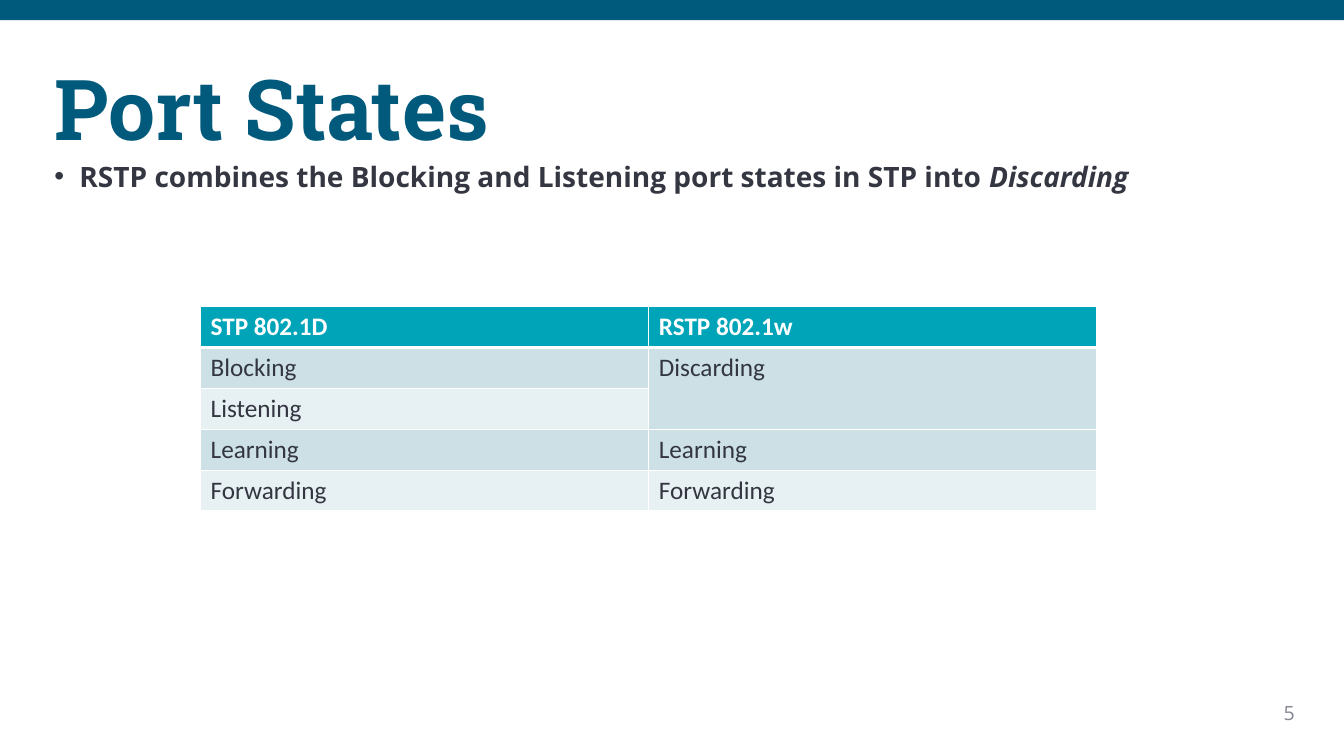
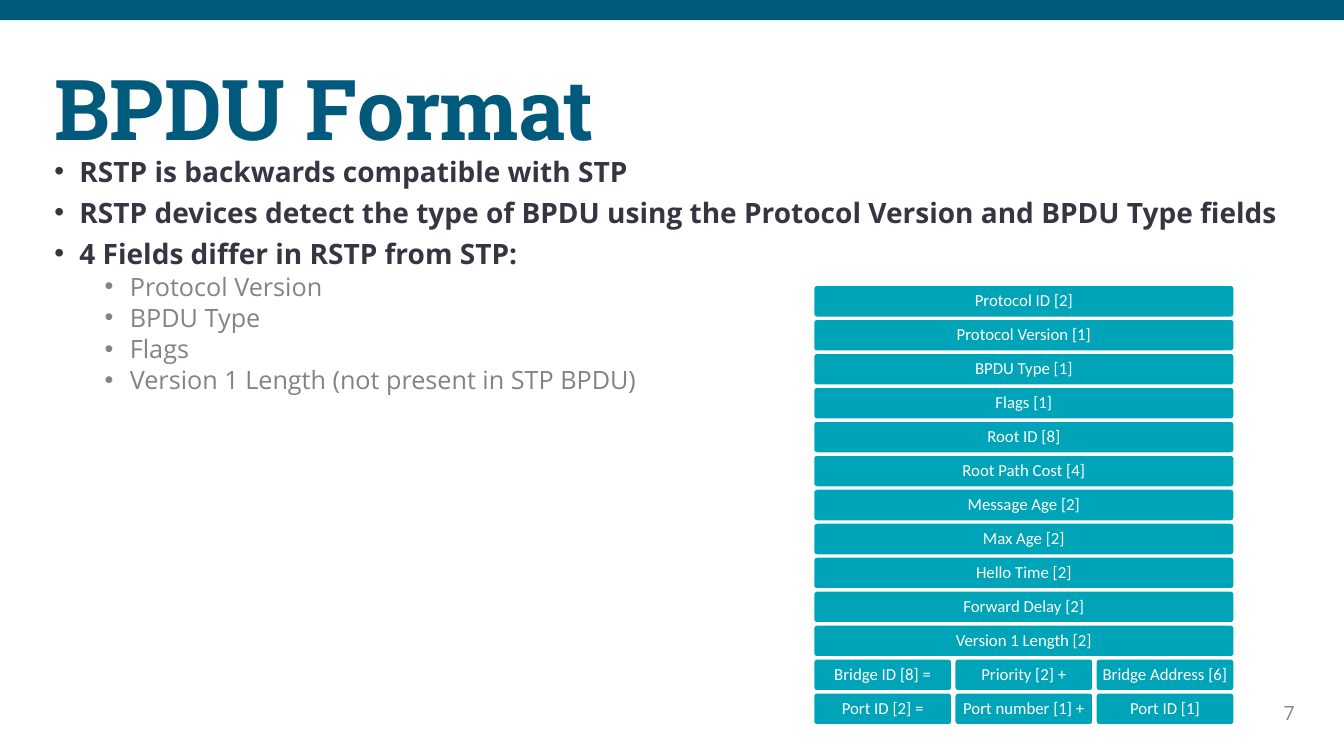
import lxml.etree
import pptx
import pptx.dml.color
import pptx.enum.shapes
import pptx.enum.text
import pptx.oxml
import pptx.oxml.ns
import pptx.util

Inches = pptx.util.Inches
Pt = pptx.util.Pt
Align = pptx.enum.text.PP_ALIGN
Anchor = pptx.enum.text.MSO_ANCHOR
Preset = pptx.enum.shapes.MSO_SHAPE
qn = pptx.oxml.ns.qn

BAND = "005A7C"
TITLE = "015A7C"
BODY = "343741"
SUBITEM = "838383"
NUMBER = "858891"
TEAL = "00A4B8"
CELL_TEXT = "333641"
ROW_FILLS = ("CCE0E6", "E7F0F3")
WHITE = "FFFFFF"

TITLE_FONT = "Roboto Slab"
BODY_FONT = "Open Sans"
DIAGRAM_FONT = "Calibri"

LEVELS = (
    dict(size=20, color=BODY, bold=True, indent=0.25, space_before=10),
    dict(size=18, color=SUBITEM, bold=False, indent=0.75, space_before=5),
)


def color_of(value):
    return pptx.dml.color.RGBColor.from_string(value)


def write_text(paragraph, text, font=BODY_FONT, size=18, color=BODY, bold=False,
               italic=False, align=Align.LEFT, line_spacing=None):
    paragraph.alignment = align
    if line_spacing:
        paragraph.line_spacing = line_spacing
    run = paragraph.add_run()
    run.text = text
    run.font.name = font
    run.font.size = Pt(size)
    run.font.bold = bold
    run.font.italic = italic
    run.font.color.rgb = color_of(color)


def add_box(slide, box, anchor=Anchor.TOP):
    frame = slide.shapes.add_textbox(*map(Inches, box)).text_frame
    frame.word_wrap = True
    frame.vertical_anchor = anchor
    return frame


def add_block(slide, preset, box, fill, line=None):
    shape = slide.shapes.add_shape(preset, *map(Inches, box))
    shape.shadow.inherit = False
    shape.fill.solid()
    shape.fill.fore_color.rgb = color_of(fill)
    if line:
        shape.line.color.rgb = color_of(line)
        shape.line.width = Pt(1)
    else:
        shape.line.fill.background()
    return shape


def add_bullet(paragraph, indent):
    properties = paragraph._p.get_or_add_pPr()
    properties.set("marL", str(Inches(indent)))
    properties.set("indent", str(Inches(-0.25)))
    lxml.etree.SubElement(properties, qn("a:buFont")).set("typeface", "Arial")
    lxml.etree.SubElement(properties, qn("a:buChar")).set("char", "•")


def add_base(presentation, title, number):
    slide = presentation.slides.add_slide(presentation.slide_layouts[6])
    add_block(slide, Preset.RECTANGLE, (0, 0, 13.33, 0.2), BAND)
    number_frame = add_box(slide, (12.3, 6.9, 0.64, 0.34))
    write_text(number_frame.paragraphs[0], number, size=14, color=NUMBER, align=Align.RIGHT)
    title_frame = add_box(slide, (0.44, 0.4, 12.73, 1.45), Anchor.MIDDLE)
    write_text(title_frame.paragraphs[0], title, font=TITLE_FONT, size=60, color=TITLE,
               bold=True, line_spacing=0.9)
    return slide


def add_bullets(slide, box, items):
    frame = add_box(slide, box)
    for index, (level, text, emphasis) in enumerate(items):
        paragraph = frame.paragraphs[0] if index == 0 else frame.add_paragraph()
        style = dict(LEVELS[level], line_spacing=0.8)
        paragraph.level = level
        add_bullet(paragraph, style.pop("indent"))
        space_before = style.pop("space_before")
        if index:
            paragraph.space_before = Pt(space_before)
        write_text(paragraph, text, **style)
        if emphasis:
            write_text(paragraph, emphasis, italic=True, **style)


def set_borders(cell, bottom):
    properties = cell._tc.get_or_add_tcPr()
    for side, width in (("L", 1), ("R", 1), ("T", 1), ("B", bottom)):
        line = lxml.etree.SubElement(properties, qn("a:ln" + side))
        line.set("w", str(Pt(width)))
        fill = lxml.etree.SubElement(line, qn("a:solidFill"))
        lxml.etree.SubElement(fill, qn("a:srgbClr")).set("val", WHITE)


def add_state_table(slide, box, rows):
    left, top, width, height = map(Inches, box)
    table = slide.shapes.add_table(len(rows), len(rows[0]), left, top, width, height).table
    for row_index, row in enumerate(rows):
        header = row_index == 0
        for column_index, text in enumerate(row):
            cell = table.cell(row_index, column_index)
            set_borders(cell, 3 if header else 1)
            cell.fill.solid()
            fill = TEAL if header else ROW_FILLS[(row_index - 1) % 2]
            cell.fill.fore_color.rgb = color_of(fill)
            if text:
                write_text(cell.text_frame.paragraphs[0], text, font=DIAGRAM_FONT,
                           color=WHITE if header else CELL_TEXT, bold=header)
    table.cell(1, 1).merge(table.cell(2, 1))


def add_field_stack(slide, box, rows, row_gap=0.02, column_gap=0.03):
    left, top, width, height = box
    field_height = (height - row_gap * (len(rows) - 1)) / len(rows)
    for row_index, fields in enumerate(rows):
        field_width = (width - column_gap * (len(fields) - 1)) / len(fields)
        field_top = top + row_index * (field_height + row_gap)
        for column_index, text in enumerate(fields):
            field_left = left + column_index * (field_width + column_gap)
            shape = add_block(slide, Preset.ROUNDED_RECTANGLE,
                              (field_left, field_top, field_width, field_height), TEAL, WHITE)
            shape.adjustments[0] = 0.1
            frame = shape.text_frame
            frame.word_wrap = True
            frame.vertical_anchor = Anchor.MIDDLE
            frame.margin_left = frame.margin_right = Inches(0.05)
            frame.margin_top = frame.margin_bottom = Inches(0.05)
            write_text(frame.paragraphs[0], text, font=DIAGRAM_FONT, size=12, color=WHITE,
                       align=Align.CENTER, line_spacing=0.9)


def build_port_states(presentation):
    slide = add_base(presentation, "Port States", "5")
    add_bullets(slide, (0.44, 1.6, 12.36, 2.07), [
        (0, "RSTP combines the Blocking and Listening port states in STP into ", "Discarding"),
    ])
    add_state_table(slide, (1.99, 3.04, 8.89, 2.03), [
        ("STP 802.1D", "RSTP 802.1w"),
        ("Blocking", "Discarding"),
        ("Listening", ""),
        ("Learning", "Learning"),
        ("Forwarding", "Forwarding"),
    ])


def build_bpdu_format(presentation):
    slide = add_base(presentation, "BPDU Format", "7")
    single_fields = (
        "Protocol ID [2]", "Protocol Version [1]", "BPDU Type [1]", "Flags [1]",
        "Root ID [8]", "Root Path Cost [4]", "Message Age [2]", "Max Age [2]",
        "Hello Time [2]", "Forward Delay [2]", "Version 1 Length [2]",
    )
    add_field_stack(slide, (8.07, 2.83, 4.17, 4.36), [(field,) for field in single_fields] + [
        ("Bridge ID [8] =", "Priority [2] +", "Bridge Address [6]"),
        ("Port ID [2] =", "Port number [1] +", "Port ID [1]"),
    ])
    add_bullets(slide, (0.44, 1.55, 12.6, 3.06), [
        (0, "RSTP is backwards compatible with STP", ""),
        (0, "RSTP devices detect the type of BPDU using the Protocol Version and BPDU Type fields", ""),
        (0, "4 Fields differ in RSTP from STP:", ""),
        (1, "Protocol Version", ""),
        (1, "BPDU Type", ""),
        (1, "Flags", ""),
        (1, "Version 1 Length (not present in STP BPDU)", ""),
    ])


def main():
    presentation = pptx.Presentation()
    presentation.slide_width = Inches(13.33)
    presentation.slide_height = Inches(7.5)
    build_port_states(presentation)
    build_bpdu_format(presentation)
    presentation.save("out.pptx")


if __name__ == "__main__":
    main()
